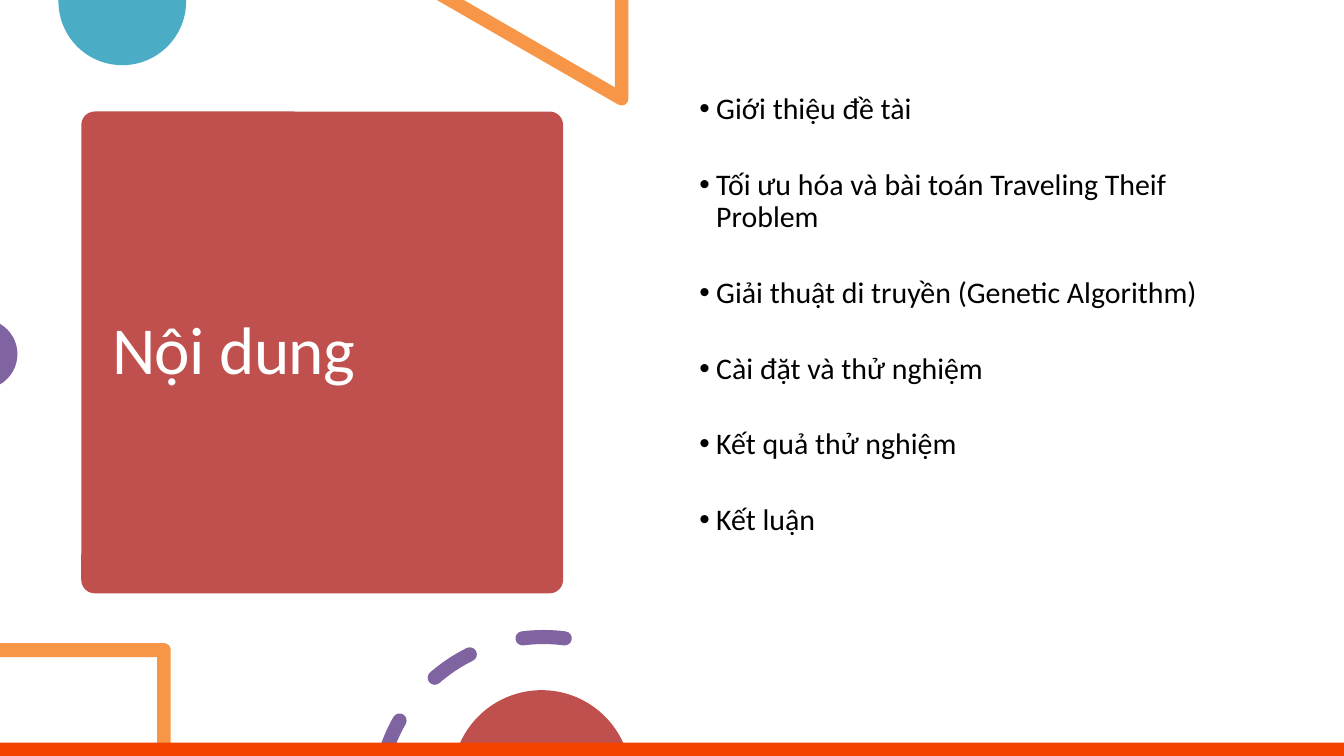
from math import cos, radians, sin, tan

from lxml import etree
from pptx import Presentation
from pptx.dml.color import RGBColor
from pptx.enum.shapes import MSO_SHAPE
from pptx.enum.text import MSO_ANCHOR
from pptx.oxml.ns import qn
from pptx.util import Pt

RECTANGLE = MSO_SHAPE.RECTANGLE
ROUNDED_RECTANGLE = MSO_SHAPE.ROUNDED_RECTANGLE
MIDDLE = MSO_ANCHOR.MIDDLE

PX = 9144
WIDTH, HEIGHT = 2000, 1125
FONT = "Calibri"
COLORS = {
    "red": "C0504D",
    "teal": "4BACC6",
    "orange": "F79646",
    "purple": "8064A2",
    "bar": "F24300",
    "white": "FFFFFF",
    "black": "000000",
}
TOPICS = [
    "Giới thiệu đề tài",
    "Tối ưu hóa và bài toán Traveling Theif Problem",
    "Giải thuật di truyền (Genetic Algorithm)",
    "Cài đặt và thử nghiệm",
    "Kết quả thử nghiệm",
    "Kết luận",
]


def emu(*lengths):
    return [round(length * PX) for length in lengths]


def paint(shape, color):
    shape.shadow.inherit = False
    shape.fill.solid()
    shape.fill.fore_color.rgb = RGBColor.from_string(COLORS[color])
    shape.line.fill.background()


def add_block(slide, kind, box, color):
    shape = slide.shapes.add_shape(kind, *emu(*box))
    paint(shape, color)
    return shape


def lines(*points):
    return [[point] for point in points]


def point_at(center, radius, angle):
    return center[0] + radius * cos(radians(angle)), center[1] + radius * sin(radians(angle))


def arc(center, radius, *angles):
    steps = lines(point_at(center, radius, angles[0]))
    for start, end in zip(angles, angles[1:]):
        reach = radius * 4 / 3 * tan(radians(end - start) / 4)
        leave = point_at(point_at(center, radius, start), reach, start + 90)
        arrive = point_at(point_at(center, radius, end), -reach, end + 90)
        steps.append([leave, arrive, point_at(center, radius, end)])
    return steps


def add_outline(slide, box, contours, color):
    left, top = box[:2]
    builder = None
    for contour in contours:
        points = [emu(left + x, top + y) for step in contour for x, y in step]
        if builder is None:
            builder = slide.shapes.build_freeform(*points[0], scale=1.0)
        else:
            builder.move_to(*points[0])
        builder.add_line_segments(points[1:], close=True)
    shape = builder.convert_to_shape()
    segments = iter(list(shape._element.iter(qn("a:lnTo"))))
    for step in (step for contour in contours for step in contour[1:]):
        segment = next(segments)
        if len(step) == 3:
            segment.tag = qn("a:cubicBezTo")
            for follower in (next(segments), next(segments)):
                segment.append(follower[0])
                follower.getparent().remove(follower)
    paint(shape, color)


def add_top_circle(slide, box):
    width = box[2]
    contour = lines((width, 0), (0, 0)) + arc((95, 2), 95, 180, 90, 0)
    add_outline(slide, box, [contour], "teal")


def add_triangle(slide, box):
    width = box[2]
    contour = lines((width, 0), (width - 20, 0), (width - 20, 130), (40, 0), (0, 0))
    contour += arc((width - 10, 147), 10, 120, 90, 0)
    add_outline(slide, box, [contour], "orange")


def add_left_circle(slide, box):
    add_outline(slide, box, [arc((-26, 45), 52, 60, 0, -60)], "purple")


def add_frame(slide, box):
    width, height = box[2:]
    contour = lines((0, 0)) + arc((width - 10, 10), 10, -90, 0)
    contour += lines((width, height), (width - 20, height), (width - 20, 21), (0, 21))
    add_outline(slide, box, [contour], "orange")


def add_dashed_ring(slide, box):
    center, inner, middle, outer = (248, 257), 236.5, 247, 257.5
    cap = (outer - inner) / 2

    def add_cap(angle, turn):
        start = angle + turn
        return arc(point_at(center, middle, angle), cap, start, start + 90, start + 180)[1:]

    dashes = []
    for start, end in ((262.7, 277.3), (229, 243.6)):
        dash = arc(center, outer, start, end) + add_cap(end, 0)
        dash += arc(center, inner, end, start)[1:] + add_cap(start, 180)
        dashes.append(dash)
    end = 209.8
    dashes.append(arc(center, outer, 195.8, end) + add_cap(end, 0) + arc(center, inner, end, 197.2)[1:])
    add_outline(slide, box, dashes, "purple")


def add_bottom_circle(slide, box):
    add_outline(slide, box, [arc((128, 133), 133, 195.3, 270, 344.7)], "red")


def add_text_box(slide, box):
    text_frame = slide.shapes.add_textbox(*emu(*box)).text_frame
    text_frame.word_wrap = True
    return text_frame


def style(paragraph, size, color):
    paragraph.line_spacing = 0.9
    paragraph.space_after = Pt(6)
    paragraph.font.name = FONT
    paragraph.font.size = Pt(size)
    paragraph.font.color.rgb = RGBColor.from_string(COLORS[color])


def add_title_card(slide, box):
    left, top, width, height = box
    card = add_block(slide, ROUNDED_RECTANGLE, box, "red")
    card.adjustments[0] = 0.028
    text_frame = add_text_box(slide, (left + 36, top + 17, width - 71, height - 34))
    text_frame.vertical_anchor = MIDDLE
    paragraph = text_frame.paragraphs[0]
    run = paragraph.add_run()
    run.text = "Nội dung"
    run._r.get_or_add_rPr().set("spc", "-60")
    style(paragraph, 72, "white")


def add_topics(slide, box):
    text_frame = add_text_box(slide, box)
    for index, topic in enumerate(TOPICS):
        paragraph = text_frame.paragraphs[0] if index == 0 else text_frame.add_paragraph()
        paragraph.text = topic
        properties = paragraph._p.get_or_add_pPr()
        margin, indent = emu(56, -25)
        properties.set("marL", str(margin))
        properties.set("indent", str(indent))
        etree.SubElement(properties, qn("a:buFont")).set("typeface", "Arial")
        etree.SubElement(properties, qn("a:buChar")).set("char", "•")
        style(paragraph, 32, "black")
        if index:
            paragraph.space_before = Pt(40.5)


def main():
    presentation = Presentation()
    presentation.slide_width, presentation.slide_height = emu(WIDTH, HEIGHT)
    slide = presentation.slides.add_slide(presentation.slide_layouts[6])
    add_title_card(slide, (121, 166, 717, 717))
    add_top_circle(slide, (87, 0, 190, 97))
    add_triangle(slide, (650, 0, 285, 157))
    add_left_circle(slide, (0, 482, 26, 90))
    add_topics(slide, (1000, 135, 862, 802))
    add_frame(slide, (0, 957, 254, 168))
    add_dashed_ring(slide, (561, 938, 291, 187))
    add_bottom_circle(slide, (678, 1027, 257, 98))
    add_block(slide, RECTANGLE, (0, 1105, WIDTH, 20), "bar")
    presentation.save("out.pptx")


if __name__ == "__main__":
    main()
